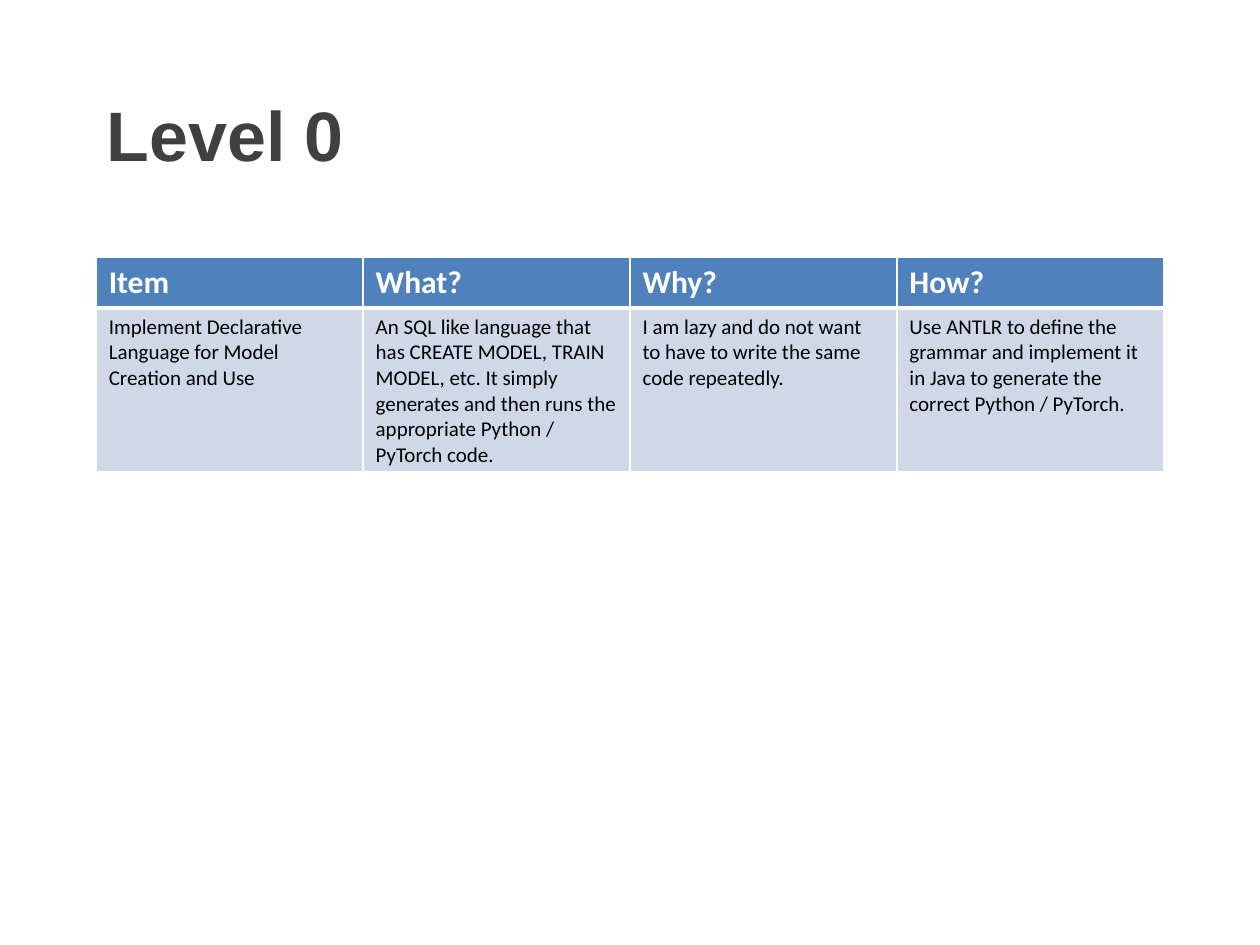
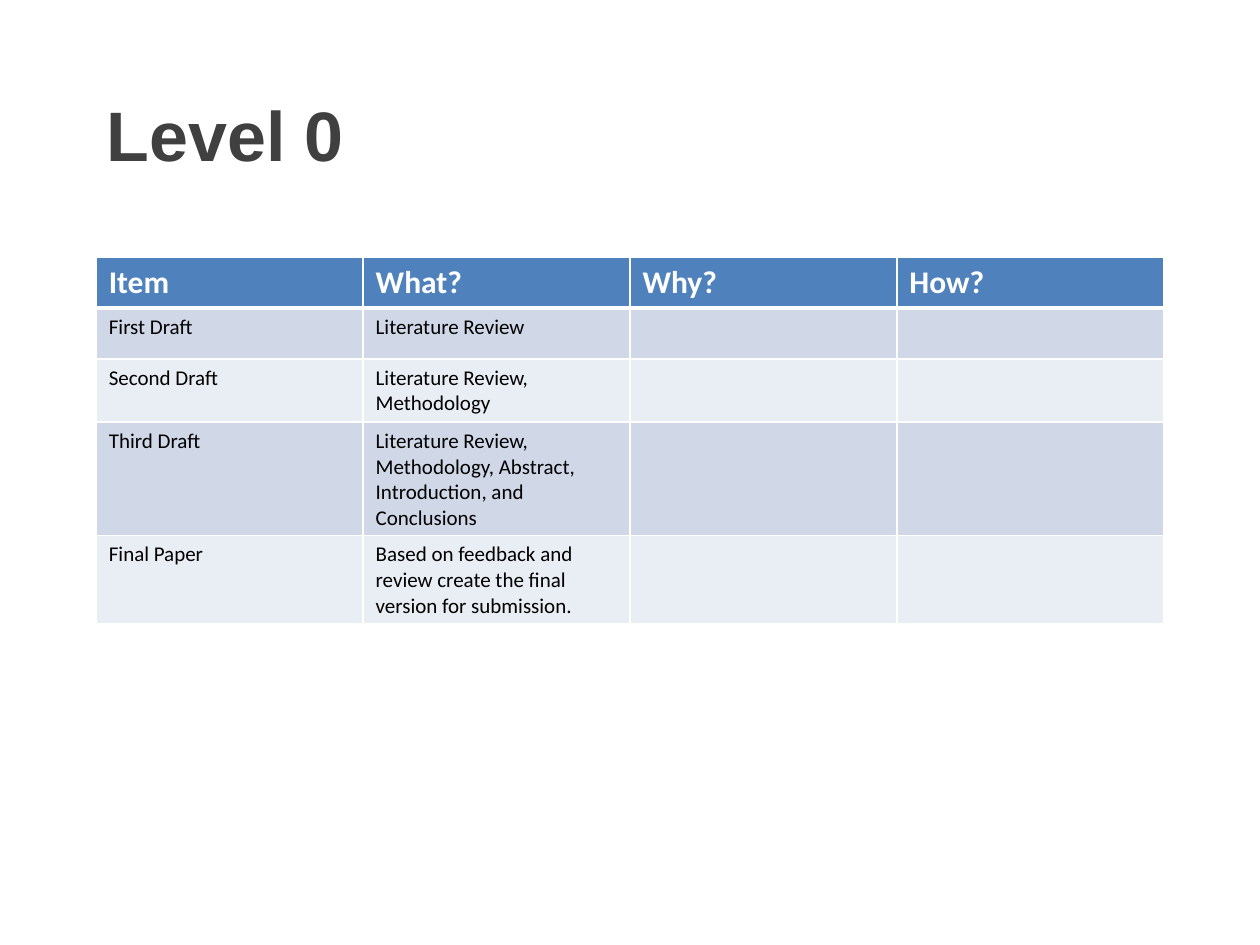
"""Build two slides that list the items of a level in a four-column table."""
from dataclasses import dataclass

from lxml import etree
from pptx import Presentation
from pptx import util as u
from pptx.dml.color import RGBColor
from pptx.enum import text
from pptx.oxml import ns


@dataclass(frozen=True)
class Theme:
    title_font: str = "Arial"
    body_font: str = "Calibri"
    title_size: int = 40
    header_size: int = 18
    body_size: int = 12
    title_color: str = "404040"
    header_color: str = "FFFFFF"
    body_color: str = "000000"
    border_color: str = "FFFFFF"
    header_fill: str = "4F81BD"
    band_fills: tuple = ("D0D8E8", "E9EDF4")
    thin_border: int = 1
    thick_border: int = 3


theme = Theme()


def write(frame, words, *, font, size, color, bold=False):
    frame.word_wrap = True
    run = frame.paragraphs[0].add_run()
    run.text = words
    run.font.name = font
    run.font.size = u.Pt(size)
    run.font.bold = bold
    run.font.color.rgb = RGBColor.from_string(color)


def add_border(cell, side, points):
    properties = cell._tc.get_or_add_tcPr()
    line = etree.SubElement(properties, ns.qn(f"a:ln{side}"), w=str(u.Pt(points)))
    fill = etree.SubElement(line, ns.qn("a:solidFill"))
    etree.SubElement(fill, ns.qn("a:srgbClr"), val=theme.border_color)


presentation = Presentation()
presentation.slide_width = u.Cm(25.4)
presentation.slide_height = u.Cm(19.05)

header = ("Item", "What?", "Why?", "How?")
column_width = u.Cm(5.38)
row_height = u.Cm(1.03)

levels = [
    ("Level 0", [
        (
            "Implement Declarative Language for Model Creation and Use",
            "An SQL like language that has CREATE MODEL, TRAIN MODEL, etc. It simply "
            "generates and then runs the appropriate Python / PyTorch code.",
            "I am lazy and do not want to have to write the same code repeatedly.",
            "Use ANTLR to define the grammar and implement it in Java to generate "
            "the correct Python / PyTorch.",
        ),
    ]),
    ("Level 0", [
        ("First Draft", "Literature Review", "", ""),
        ("Second Draft", "Literature Review, Methodology", "", ""),
        ("Third Draft", "Literature Review, Methodology, Abstract, Introduction, "
         "and Conclusions", "", ""),
        ("Final Paper", "Based on feedback and review create the final version "
         "for submission.", "", ""),
    ]),
]

for title, items in levels:
    slide = presentation.slides.add_slide(presentation.slide_layouts[6])

    title_box = slide.shapes.add_textbox(u.Cm(1.9), u.Cm(1.57), u.Cm(21.54), u.Cm(2.92))
    title_box.text_frame.vertical_anchor = text.MSO_ANCHOR.TOP
    title_box.text_frame.margin_top = u.Cm(0.28)
    write(title_box.text_frame, title, font=theme.title_font, size=theme.title_size,
          color=theme.title_color, bold=True)

    rows = [header, *items]
    table = slide.shapes.add_table(
        len(rows), len(header), u.Cm(1.94), u.Cm(5.18),
        column_width * len(header), row_height * len(rows),
    ).table
    for column in table.columns:
        column.width = column_width

    for row_index, row in enumerate(rows):
        table.rows[row_index].height = row_height
        is_header = row_index == 0
        if is_header:
            fill_color = theme.header_fill
        else:
            fill_color = theme.band_fills[(row_index - 1) % 2]
        top = theme.thick_border if row_index == 1 else theme.thin_border
        bottom = theme.thick_border if is_header else theme.thin_border

        for column_index, words in enumerate(row):
            cell = table.cell(row_index, column_index)
            for side, points in (("L", theme.thin_border), ("R", theme.thin_border),
                                 ("T", top), ("B", bottom)):
                add_border(cell, side, points)
            cell.fill.solid()
            cell.fill.fore_color.rgb = RGBColor.from_string(fill_color)
            if words:
                write(cell.text_frame, words, font=theme.body_font,
                      size=theme.header_size if is_header else theme.body_size,
                      color=theme.header_color if is_header else theme.body_color,
                      bold=is_header)

presentation.save("out.pptx")
